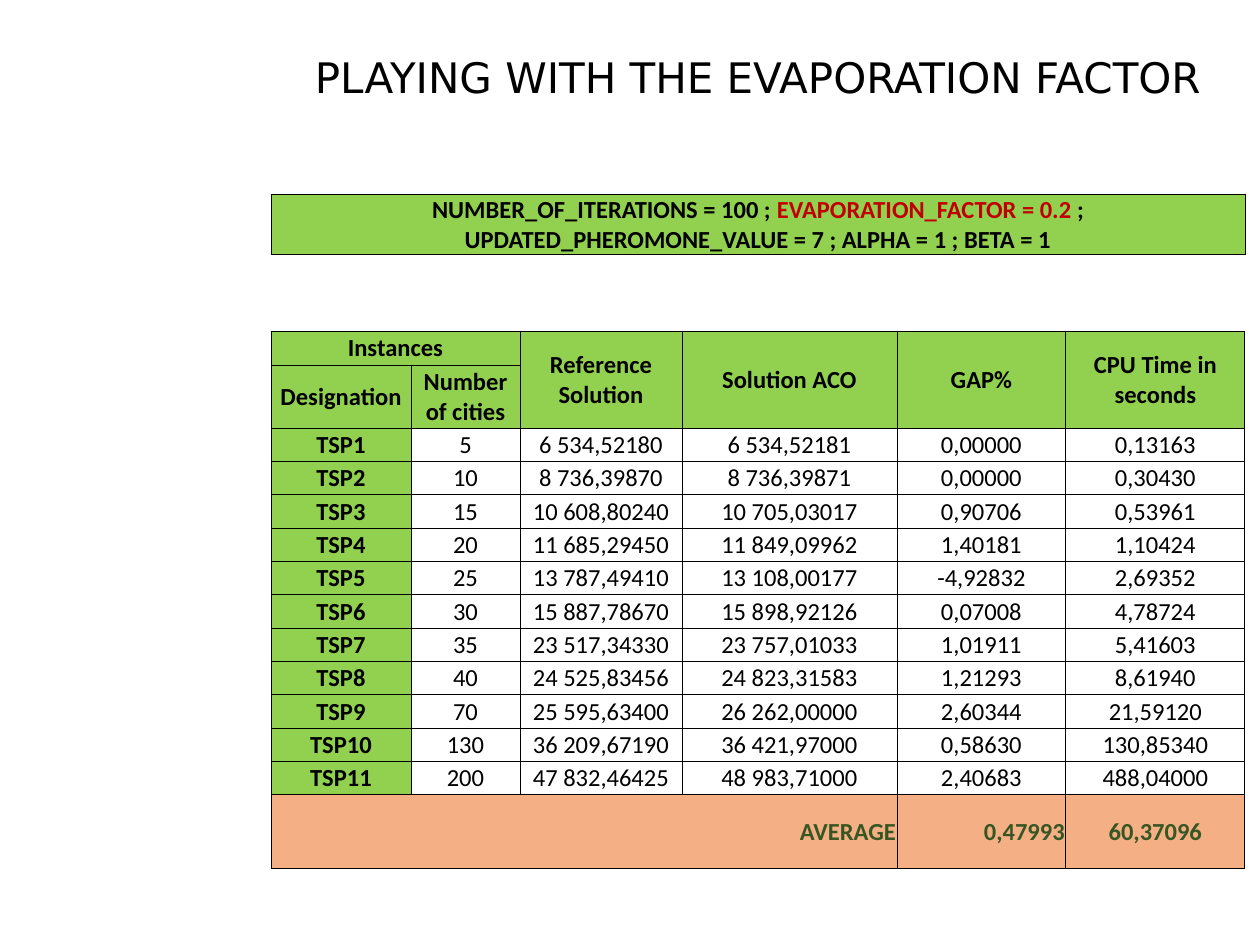
from dataclasses import dataclass

from lxml import etree
from pptx import Presentation
from pptx import util as u
from pptx.dml.color import RGBColor
from pptx.enum import text
from pptx.oxml import ns

TITLE = "PLAYING WITH THE EVAPORATION FACTOR"
BANNER = [
    ("NUMBER_OF_ITERATIONS = 100 ; ", "ink"),
    ("EVAPORATION_FACTOR = 0.2 ", "accent"),
    (";\vUPDATED_PHEROMONE_VALUE = 7 ; ALPHA = 1 ; BETA = 1", "ink"),
]
HEADER = [
    ["Instances", "", "Reference Solution", "Solution ACO", "GAP%", "CPU Time in seconds"],
    ["Designation", "Number of cities", "", "", "", ""],
]
RESULTS = [
    ["TSP1", "5", "6 534,52180", "6 534,52181", "0,00000", "0,13163"],
    ["TSP2", "10", "8 736,39870", "8 736,39871", "0,00000", "0,30430"],
    ["TSP3", "15", "10 608,80240", "10 705,03017", "0,90706", "0,53961"],
    ["TSP4", "20", "11 685,29450", "11 849,09962", "1,40181", "1,10424"],
    ["TSP5", "25", "13 787,49410", "13 108,00177", "-4,92832", "2,69352"],
    ["TSP6", "30", "15 887,78670", "15 898,92126", "0,07008", "4,78724"],
    ["TSP7", "35", "23 517,34330", "23 757,01033", "1,01911", "5,41603"],
    ["TSP8", "40", "24 525,83456", "24 823,31583", "1,21293", "8,61940"],
    ["TSP9", "70", "25 595,63400", "26 262,00000", "2,60344", "21,59120"],
    ["TSP10", "130", "36 209,67190", "36 421,97000", "0,58630", "130,85340"],
    ["TSP11", "200", "47 832,46425", "48 983,71000", "2,40683", "488,04000"],
]
AVERAGE = ["AVERAGE", "", "", "", "0,47993", "60,37096"]

LEFT, WIDTH = 271, 974
TITLE_TOP, TITLE_HEIGHT = -2, 157
BANNER_TOP, BANNER_HEIGHT = 194, 60
RESULTS_TOP, BODY_HEIGHT = 331, 367
COLUMNS = [140, 109, 162, 215, 169, 179]
HEADER_ROWS, AVERAGE_ROW = [34, 63], 74


@dataclass(frozen=True)
class Theme:
    ink: str = "000000"
    accent: str = "C00000"
    green: str = "92D050"
    orange: str = "F4B084"
    average: str = "375623"
    title_font: str = "DejaVu Sans"
    font: str = "Calibri"
    title_size: int = 24
    size: int = 14
    border: float = 0.5


theme = Theme()


def px(n):
    return u.Emu(round(n * 914400 / 126))


def style(r, font, size, color, bold=False):
    r.font.name, r.font.size, r.font.bold = font, u.Pt(size), bold
    r.font.color.rgb = RGBColor.from_string(color)


def add_border(cell):
    tcPr = cell._tc.get_or_add_tcPr()
    for side in ("a:lnL", "a:lnR", "a:lnT", "a:lnB"):
        ln = etree.SubElement(tcPr, ns.qn(side), w=str(u.Pt(theme.border)))
        fill = etree.SubElement(ln, ns.qn("a:solidFill"))
        etree.SubElement(fill, ns.qn("a:srgbClr"), val=theme.ink)


def format_cell(cell, fill=None, align=text.PP_ALIGN.CENTER):
    cell.vertical_anchor = text.MSO_ANCHOR.MIDDLE
    cell.margin_left = cell.margin_right = cell.margin_top = px(1)
    cell.margin_bottom = 0
    add_border(cell)
    if fill:
        cell.fill.solid()
        cell.fill.fore_color.rgb = RGBColor.from_string(fill)
    else:
        cell.fill.background()
    cell.text_frame.paragraphs[0].alignment = align


def add_table(s, top, columns, rows):
    frame = s.shapes.add_table(len(rows), len(columns), px(LEFT), px(top),
                               px(sum(columns)), px(sum(rows)))
    table = frame.table
    table.first_row = table.horz_banding = False
    for column, width in zip(table.columns, columns):
        column.width = px(width)
    for row, height in zip(table.rows, rows):
        row.height = px(height)
    return table


def add_title(s):
    sp = s.shapes.title
    sp.left, sp.top, sp.width, sp.height = map(px, (LEFT, TITLE_TOP, WIDTH, TITLE_HEIGHT))
    tf = sp.text_frame
    tf.text = TITLE
    tf.vertical_anchor = text.MSO_ANCHOR.MIDDLE
    p = tf.paragraphs[0]
    p.alignment = text.PP_ALIGN.CENTER
    style(p.runs[0], theme.title_font, theme.title_size, theme.ink)


def add_banner(s):
    cell = add_table(s, BANNER_TOP, [WIDTH], [BANNER_HEIGHT]).cell(0, 0)
    p = cell.text_frame.paragraphs[0]
    p.text = "".join(words for words, _ in BANNER[:0])
    for words, color in BANNER:
        for i, line in enumerate(words.split("\v")):
            if i:
                p.add_line_break()
            r = p.add_run()
            r.text = line
            style(r, theme.font, theme.size, getattr(theme, color), True)
    format_cell(cell, theme.green)


def add_results(s):
    content = HEADER + RESULTS + [AVERAGE]
    last = len(content) - 1
    body = [BODY_HEIGHT / len(RESULTS)] * len(RESULTS)
    table = add_table(s, RESULTS_TOP, COLUMNS, HEADER_ROWS + body + [AVERAGE_ROW])
    for i, values in enumerate(content):
        for j, value in enumerate(values):
            cell = table.cell(i, j)
            cell.text_frame.text = value
            is_label = i < len(HEADER) or j == 0
            color, fill = theme.ink, theme.green if is_label else None
            align = text.PP_ALIGN.CENTER
            if i == last:
                color, fill = theme.average, theme.orange
                if j < len(COLUMNS) - 1:
                    align = text.PP_ALIGN.RIGHT
            format_cell(cell, fill, align)
            p = cell.text_frame.paragraphs[0]
            p.font.size = u.Pt(theme.size)
            for r in p.runs:
                style(r, theme.font, theme.size, color, is_label or i == last)
    table.cell(0, 0).merge(table.cell(0, 1))
    for j in range(2, len(COLUMNS)):
        table.cell(0, j).merge(table.cell(1, j))
    table.cell(last, 0).merge(table.cell(last, 3))


def main():
    prs = Presentation()
    prs.slide_width, prs.slide_height = px(1260), px(945)
    s = prs.slides.add_slide(prs.slide_layouts[5])
    add_title(s)
    add_banner(s)
    add_results(s)
    prs.save("out.pptx")


if __name__ == "__main__":
    main()
